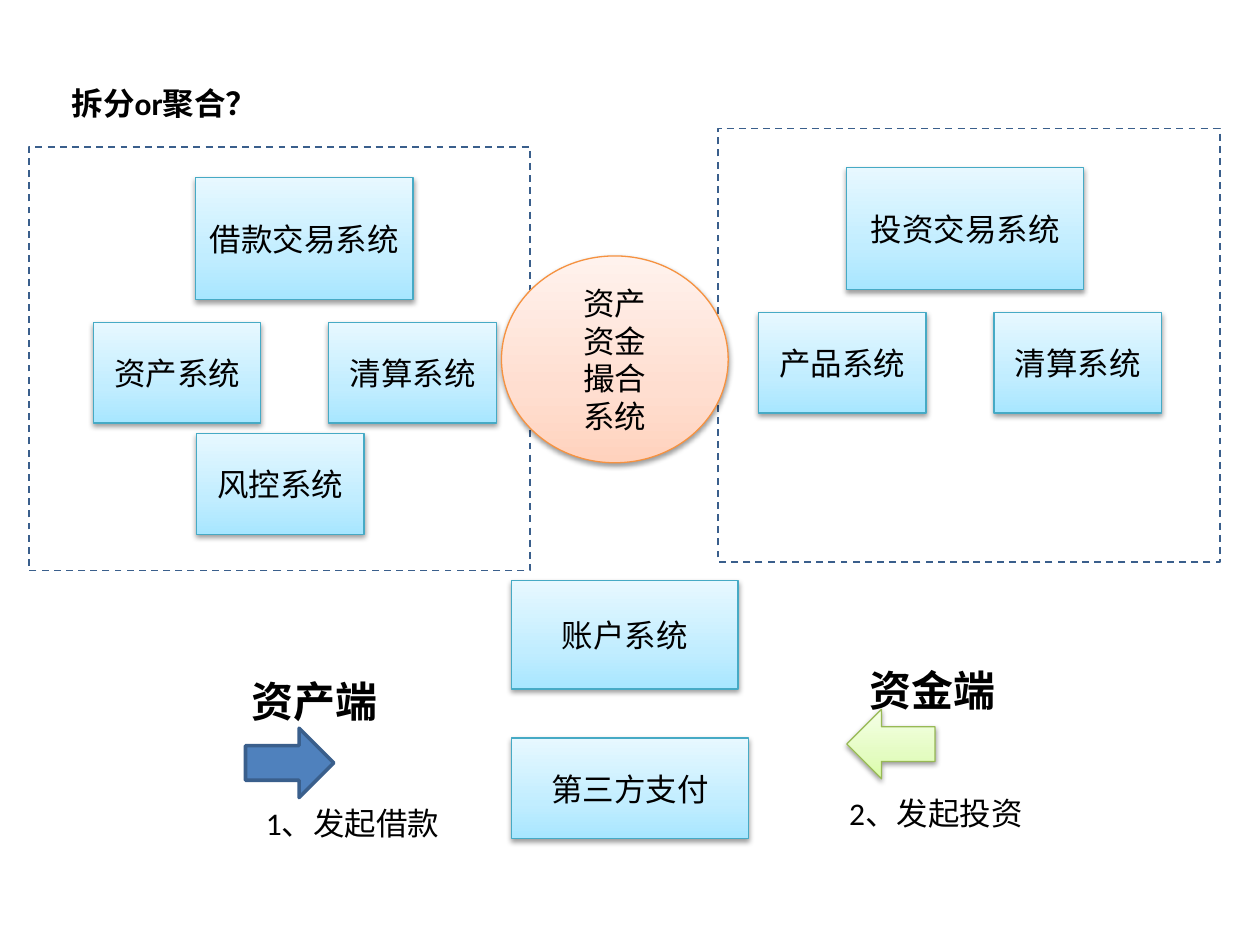
import pptx
import pptx.util
import pptx.dml.color
import pptx.enum.dml
import pptx.enum.shapes
import pptx.enum.text
import lxml.etree
import pptx.oxml.ns

Cm = pptx.util.Cm
Pt = pptx.util.Pt
Shapes = pptx.enum.shapes.MSO_SHAPE
Align = pptx.enum.text.PP_ALIGN
Anchor = pptx.enum.text.MSO_ANCHOR
AutoSize = pptx.enum.text.MSO_AUTO_SIZE

BLUE = {"stops": [(0, "A7E6FF"), (35, "C1EDFF"), (100, "E7F8FF")], "line": "46AAC5"}
GREEN = {"stops": [(0, "DAFDA7"), (35, "E4FCC2"), (100, "F5FFE7")], "line": "98B955"}
ORANGE = {"stops": [(0, "FFD2BD"), (35, "FFDED0"), (100, "FFF2ED")], "line": "F69240"}

TITLE = ("拆分or聚合？", (1.19, 1.57, 4.29, 1.02))
ZONES = [(0.58, 2.97, 10.11, 8.53), (14.48, 2.59, 10.11, 8.74)]
SMALL = (3.38, 2.03)
PAIR_PITCH = 4.75
PAIRS = [
    (("资产系统", "清算系统"), 1.88, 6.5),
    (("产品系统", "清算系统"), 15.29, 6.3),
]
SYSTEMS = [
    ("借款交易系统", (3.94, 3.58, 4.39, 2.46)),
    ("投资交易系统", (17.07, 3.38, 4.78, 2.46)),
    ("风控系统", (3.96, 8.74, *SMALL)),
    ("账户系统", (10.31, 11.71, 4.57, 2.18)),
    ("第三方支付", (10.31, 14.88, 4.78, 2.03)),
]
MATCHING = ("资产\n资金\n撮合\n系统", (10.11, 5.16, 4.57, 4.17))
HEADINGS = [("资产端", (4.83, 13.49, 3.1, 1.27)), ("资金端", (17.27, 13.28, 3.1, 1.27))]
STEPS = [("1、发起借款", (5.11, 16.08, 4.04, 1.02)), ("2、发起投资", (16.87, 15.88, 4.04, 1.02))]
ARROW = (1.78, 1.4)
LOAN_ARROW = (4.95, 14.68, *ARROW)
INVEST_ARROW = (17.07, 14.3, *ARROW)


def color(value):
    return pptx.dml.color.RGBColor.from_string(value)


def add_child(parent, tag, **attributes):
    child = lxml.etree.SubElement(parent, pptx.oxml.ns.qn(tag))
    for name, value in attributes.items():
        child.set(name, str(value))
    return child


def write(shape, text, size=18, bold=False, align=Align.LEFT, anchor=Anchor.TOP, wrap=True, auto_size=AutoSize.NONE):
    frame = shape.text_frame
    frame.text = text
    frame.word_wrap = wrap
    frame.auto_size = auto_size
    frame.vertical_anchor = anchor
    for paragraph in frame.paragraphs:
        paragraph.alignment = align
        font = paragraph.runs[0].font
        font.name = "Calibri"
        font.size = Pt(size)
        font.bold = bold
        font.color.rgb = color("000000")


def add_shape(kind, box, line, width=0.75):
    shape = slide.shapes.add_shape(kind, *map(Cm, box))
    shape.shadow.inherit = False
    shape.fill.background()
    shape.line.color.rgb = color(line)
    shape.line.width = Pt(width)
    return shape


def add_glossy(kind, box, style, text=None):
    shape = add_shape(kind, box, style["line"])
    shape.fill.gradient()
    shape.fill.gradient_angle = 90
    properties = shape.element.spPr
    stops = properties.find(".//" + pptx.oxml.ns.qn("a:gsLst"))
    for stop in list(stops):
        stops.remove(stop)
    for position, value in style["stops"]:
        stop = add_child(stops, "a:gs", pos=position * 1000)
        add_child(stop, "a:srgbClr", val=value)
    effects = properties.find(pptx.oxml.ns.qn("a:effectLst"))
    shadow = add_child(effects, "a:outerShdw", blurRad=Pt(3.1), dist=Pt(1.6), dir=5400000, rotWithShape=0)
    add_child(add_child(shadow, "a:srgbClr", val="000000"), "a:alpha", val=38000)
    if text:
        write(shape, text, align=Align.CENTER, anchor=Anchor.MIDDLE)


def add_label(text, box, **text_format):
    write(slide.shapes.add_textbox(*map(Cm, box)), text, **text_format)


presentation = pptx.Presentation()
presentation.slide_width = Cm(25.4)
presentation.slide_height = Cm(19.05)
slide = presentation.slides.add_slide(presentation.slide_layouts[5])

title = slide.shapes.title
title.left, title.top, title.width, title.height = map(Cm, TITLE[1])
write(title, TITLE[0], bold=True, wrap=False, auto_size=AutoSize.SHAPE_TO_FIT_TEXT)

for box in ZONES:
    zone = add_shape(Shapes.RECTANGLE, box, "3A5F8C", 1)
    zone.line.dash_style = pptx.enum.dml.MSO_LINE.DASH

for names, left, top in PAIRS:
    for index, name in enumerate(names):
        add_glossy(Shapes.RECTANGLE, (left + index * PAIR_PITCH, top, *SMALL), BLUE, name)
for name, box in SYSTEMS:
    add_glossy(Shapes.RECTANGLE, box, BLUE, name)
add_glossy(Shapes.OVAL, MATCHING[1], ORANGE, MATCHING[0])

for text, box in HEADINGS:
    add_label(text, box, size=24, bold=True, wrap=False, auto_size=AutoSize.SHAPE_TO_FIT_TEXT)
for text, box in STEPS:
    add_label(text, box)

add_glossy(Shapes.LEFT_ARROW, INVEST_ARROW, GREEN)
loan_arrow = add_shape(Shapes.RIGHT_ARROW, LOAN_ARROW, "3A5F8C", 2)
loan_arrow.fill.solid()
loan_arrow.fill.fore_color.rgb = color("4F81BD")

presentation.save("out.pptx")
